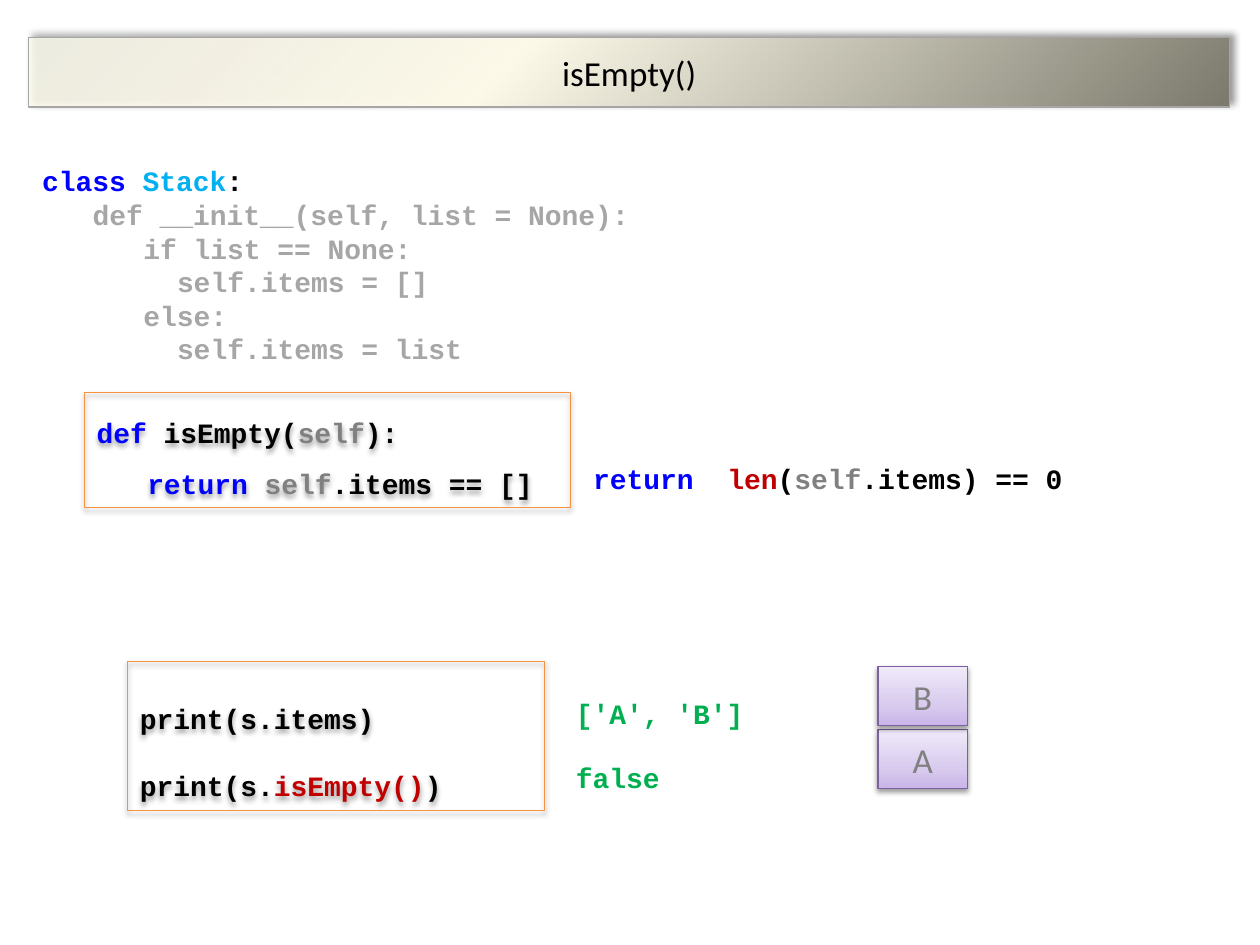
from dataclasses import dataclass

from pptx import Presentation, util as u
from pptx.dml.color import RGBColor
from pptx.enum import shapes, text
from pptx.oxml import parse_xml
from pptx.oxml.ns import nsdecls, qn

BLACK = RGBColor(0x00, 0x00, 0x00)
BLUE = RGBColor(0x00, 0x00, 0xFF)
SKY = RGBColor(0x00, 0xB0, 0xF0)
GREEN = RGBColor(0x00, 0xB0, 0x50)
RED = RGBColor(0xC0, 0x00, 0x00)
GRAY = RGBColor(0x80, 0x80, 0x80)
PALE = RGBColor(0xA6, 0xA6, 0xA6)
ORANGE = RGBColor(0xF6, 0x92, 0x40)
PURPLE = RGBColor(0x7D, 0x60, 0xA0)
CREAM = RGBColor(0xFE, 0xFC, 0xEE)
SAND = RGBColor(0xFD, 0xFA, 0xEA)
STONE = RGBColor(0x7B, 0x79, 0x6B)
LILAC = RGBColor(0xC9, 0xB5, 0xE8)
MAUVE = RGBColor(0xD8, 0xCB, 0xEE)
MIST = RGBColor(0xF0, 0xEA, 0xF9)

CHAR = 0.34
CODE = "Courier New"
HEAD = "Calibri"


@dataclass(frozen=True)
class Place:
    left: float
    top: float
    width: float
    height: float

    def sides(self) -> list:
        return [u.Cm(n) for n in (self.left, self.top, self.width, self.height)]


@dataclass(frozen=True)
class Line:
    spans: tuple
    indent: int = 0


@dataclass(frozen=True)
class Blend:
    stops: tuple
    angle: int


@dataclass(frozen=True)
class Shade:
    alpha: int
    blur: float
    dist: float
    angle: int


BAR = Blend(((0, CREAM, 79), (40, SAND, 100), (100, STONE, 100)), 45)
CELL = Blend(((0, LILAC, 100), (35, MAUVE, 100), (100, MIST, 100)), 270)
DEEP = Shade(40, 4, 3, 315)
SOFT = Shade(38, 3.1, 1.6, 90)


def write(shape, lines, font=CODE, size=16, bold=True, space=None,
          align=None, anchor=text.MSO_ANCHOR.TOP, wrap=True, grow=True) -> None:
    frame = shape.text_frame
    frame.word_wrap = wrap
    frame.vertical_anchor = anchor
    if grow:
        frame.auto_size = text.MSO_AUTO_SIZE.SHAPE_TO_FIT_TEXT
    for i, line in enumerate(lines):
        para = frame.add_paragraph() if i else frame.paragraphs[0]
        para.alignment = align or text.PP_ALIGN.LEFT
        para.line_spacing = space
        if line.indent:
            para._p.get_or_add_pPr().set("marL", str(u.Cm(CHAR * line.indent)))
        for words, color in line.spans:
            run = para.add_run()
            run.text = words
            run.font.name = font
            run.font.size = u.Pt(size)
            run.font.bold = bold
            run.font.color.rgb = color


def panel(slide, place: Place, edge: RGBColor, shade: Shade, blend: Blend = None):
    shape = slide.shapes.add_shape(shapes.MSO_SHAPE.RECTANGLE, *place.sides())
    shape.fill.background()
    shape.line.color.rgb = edge
    shape.line.width = u.Pt(0.75)
    shape.shadow.inherit = False
    props = shape._element.spPr
    props.find(qn("a:effectLst")).append(parse_xml(
        f'<a:outerShdw {nsdecls("a")} blurRad="{u.Pt(shade.blur)}" '
        f'dist="{u.Pt(shade.dist)}" dir="{shade.angle * 60000}" rotWithShape="0">'
        f'<a:srgbClr val="{BLACK}"><a:alpha val="{shade.alpha * 1000}"/>'
        '</a:srgbClr></a:outerShdw>'))
    if blend:
        stops = "".join(
            f'<a:gs pos="{pos * 1000}"><a:srgbClr val="{color}">'
            f'<a:alpha val="{alpha * 1000}"/></a:srgbClr></a:gs>'
            for pos, color, alpha in blend.stops)
        props.replace(props.find(qn("a:noFill")), parse_xml(
            f'<a:gradFill {nsdecls("a")} rotWithShape="1"><a:gsLst>{stops}</a:gsLst>'
            f'<a:lin ang="{blend.angle * 60000}" scaled="0"/></a:gradFill>'))
    return shape


def label(slide, place: Place, lines, wrap: bool = False) -> None:
    write(slide.shapes.add_textbox(*place.sides()), lines, wrap=wrap)


def main() -> None:
    deck = Presentation()
    deck.slide_width, deck.slide_height = u.Cm(25.4), u.Cm(19.05)
    slide = deck.slides.add_slide(deck.slide_layouts[6])
    center = dict(font=HEAD, size=20, bold=False, grow=False,
                  align=text.PP_ALIGN.CENTER, anchor=text.MSO_ANCHOR.MIDDLE)

    title = panel(slide, Place(0.58, 0.76, 24.21, 1.4), PALE, DEEP, BAR)
    write(title, [Line((("isEmpty()", BLACK),))], **center)

    method = panel(slide, Place(1.7, 7.92, 9.8, 2.31), ORANGE, SOFT)
    write(method, [
        Line((("def ", BLUE), ("isEmpty(", BLACK), ("self", GRAY), ("):", BLACK))),
        Line((("return ", BLUE), ("self", GRAY), (".items == []", BLACK)), 3),
    ], space=1.5)

    calls = panel(slide, Place(2.57, 13.34, 8.41, 3), ORANGE, SOFT)
    write(calls, [
        Line((("print(s.items)", BLACK),)),
        Line((("print(s.", BLACK), ("isEmpty()", RED), (")", BLACK))),
    ], space=2.0)

    for i, name in reversed(list(enumerate("BA"))):
        cell = panel(slide, Place(17.7, 13.44 + 1.27 * i, 1.8, 1.19), PURPLE, SOFT, CELL)
        write(cell, [Line(((name, GRAY),))], **center)

    label(slide, Place(11.36, 13.92, 3.94, 0.94), [Line((("['A', 'B']", GREEN),))])
    label(slide, Place(11.36, 15.21, 2.24, 0.94), [Line((("false", GREEN),))])
    label(slide, Place(11.71, 9.17, 10.11, 0.94), [
        Line((("return  ", BLUE), ("len", RED), ("(", BLACK),
              ("self", GRAY), (".items) == 0", BLACK)))])

    body = (("def __init__(self, list = None):", 3), ("if list == None:", 6),
            ("self.items = []", 8), ("else:", 6), ("self.items = list", 8))
    label(slide, Place(0.6, 3.18, 12.7, 4.37), [
        Line((("class ", BLUE), ("Stack", SKY), (":", BLACK))),
        *(Line(((words, PALE),), indent) for words, indent in body),
    ], wrap=True)

    deck.save("out.pptx")


if __name__ == "__main__":
    main()
